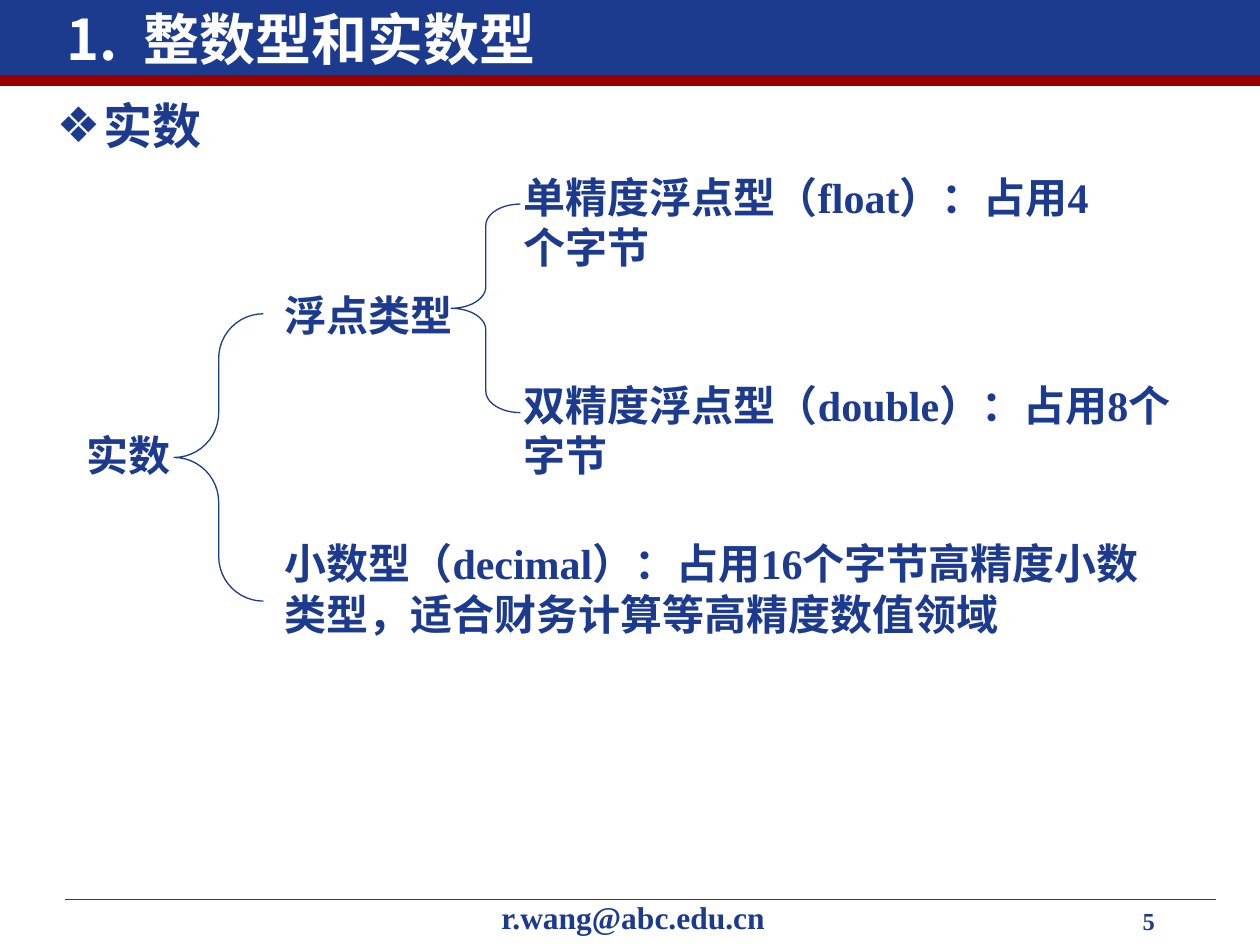
from lxml import etree
from pptx import Presentation
from pptx import util as u
from pptx.dml.color import RGBColor
from pptx.enum import shapes, text
from pptx.oxml import ns

NAVY = RGBColor(0x1C, 0x3A, 0x8E)
RED = RGBColor(0x99, 0x00, 0x00)
WHITE = RGBColor(0xFF, 0xFF, 0xFF)
SERIF = "Times New Roman"
SANS = "Noto Sans CJK SC"


class SlideStyle:
    """Shared style and the slide being filled; lengths are in points."""

    def __init__(self, slide):
        self.slide = slide
        self.line_width = u.Pt(0.75)

    def place(self, shape, left, top, width, height):
        shape.left, shape.top = u.Pt(left), u.Pt(top)
        shape.width, shape.height = u.Pt(width), u.Pt(height)

    def outline(self, line, color):
        line.color.rgb = color
        line.width = self.line_width

    def set_words(self, shape, words, size, color=NAVY, latin=SERIF,
                  anchor=text.MSO_ANCHOR.TOP, align=text.PP_ALIGN.LEFT):
        frame = shape.text_frame
        frame.word_wrap = True
        frame.auto_size = text.MSO_AUTO_SIZE.NONE
        frame.vertical_anchor = anchor
        paragraph = frame.paragraphs[0]
        paragraph.alignment = align
        run = paragraph.add_run()
        run.text = words
        run.font.size, run.font.bold = u.Pt(size), True
        run.font.name = latin
        run.font.color.rgb = color
        east_asian = etree.SubElement(run.font._element, ns.qn("a:ea"))
        east_asian.set("typeface", SANS)
        return paragraph

    def bar(self, top, height, color):
        bar = self.slide.shapes.add_shape(
            shapes.MSO_SHAPE.RECTANGLE, 0, u.Pt(top), u.Pt(720), u.Pt(height))
        bar.shadow.inherit = False
        bar.fill.solid()
        bar.fill.fore_color.rgb = color
        self.outline(bar.line, color)

    def rule(self, left, right, y):
        rule = self.slide.shapes.add_connector(
            shapes.MSO_CONNECTOR.STRAIGHT,
            u.Pt(left), u.Pt(y), u.Pt(right), u.Pt(y))
        self.outline(rule.line, NAVY)
        etree.SubElement(rule._element.spPr, ns.qn("a:effectLst"))

    def brace(self, left, top, width, height, curve):
        brace = self.slide.shapes.add_shape(
            shapes.MSO_SHAPE.LEFT_BRACE,
            u.Pt(left), u.Pt(top), u.Pt(width), u.Pt(height))
        brace.shadow.inherit = False
        brace.adjustments[0] = curve
        brace.fill.background()
        self.outline(brace.line, NAVY)

    def label(self, words, left, top, width, height, size=24):
        box = self.slide.shapes.add_textbox(
            u.Pt(left), u.Pt(top), u.Pt(width), u.Pt(height))
        self.set_words(box, words, size)

    def placeholder(self, holder, bounds, words, size, **look):
        self.place(holder, *bounds)
        # Bring the placeholder in front of the bars
        holder._element.getparent().append(holder._element)
        return self.set_words(holder, words, size, latin=SANS, **look)

    def bullet(self, paragraph, symbol, indent):
        properties = paragraph._p.get_or_add_pPr()
        properties.set("marL", str(u.Pt(indent)))
        properties.set("indent", str(-u.Pt(indent)))
        color = etree.SubElement(properties, ns.qn("a:buClr"))
        etree.SubElement(color, ns.qn("a:srgbClr")).set("val", str(NAVY))
        etree.SubElement(properties, ns.qn("a:buChar")).set("char", symbol)


def main():
    deck = Presentation()
    deck.slide_width, deck.slide_height = u.Pt(720), u.Pt(540)
    slide = deck.slides.add_slide(deck.slide_layouts[1])
    style = SlideStyle(slide)

    # Header bars and footer rule
    style.bar(-2, 45, NAVY)
    style.rule(37, 695, 514)
    style.bar(43.2, 5.8, RED)

    # Title and topic
    style.placeholder(slide.shapes.title, (31, -2, 516, 48),
                      "1.  整数型和实数型", 32, color=WHITE,
                      anchor=text.MSO_ANCHOR.MIDDLE)
    topic = style.placeholder(slide.placeholders[1], (25.2, 54.7, 680.4, 443.5),
                              "实数", 28, align=text.PP_ALIGN.JUSTIFY)
    topic.line_spacing = 0.9
    topic.space_before = u.Pt(7)
    style.bullet(topic, "❖", 27)

    # Footer
    style.label("5", 645.8, 514, 71.3, 23.8, size=14)
    style.label("r.wang@abc.edu.cn", 279.4, 509.8, 228.2, 19.4, size=18)

    # Tree of real number types
    style.brace(99.4, 179.3, 51.1, 164.2, 0.5)
    style.brace(257.8, 116.6, 39.6, 119.2, 0.31)
    for words, left, top, width, height in (
        ("实数", 42.5, 241.9, 70.6, 45.4),
        ("浮点类型", 155.5, 162, 113, 45.4),
        ("小数型（decimal）：占用16个字节高精度小数类型，适合财务计算等高精度数值领域",
         155.5, 303.8, 516.2, 85),
        ("单精度浮点型（float）：占用4个字节", 292.3, 94.3, 357.1, 45.4),
        ("双精度浮点型（double）：占用8个字节", 292.3, 213.1, 396.7, 45.4),
    ):
        style.label(words, left, top, width, height)

    deck.save("out.pptx")


if __name__ == "__main__":
    main()
